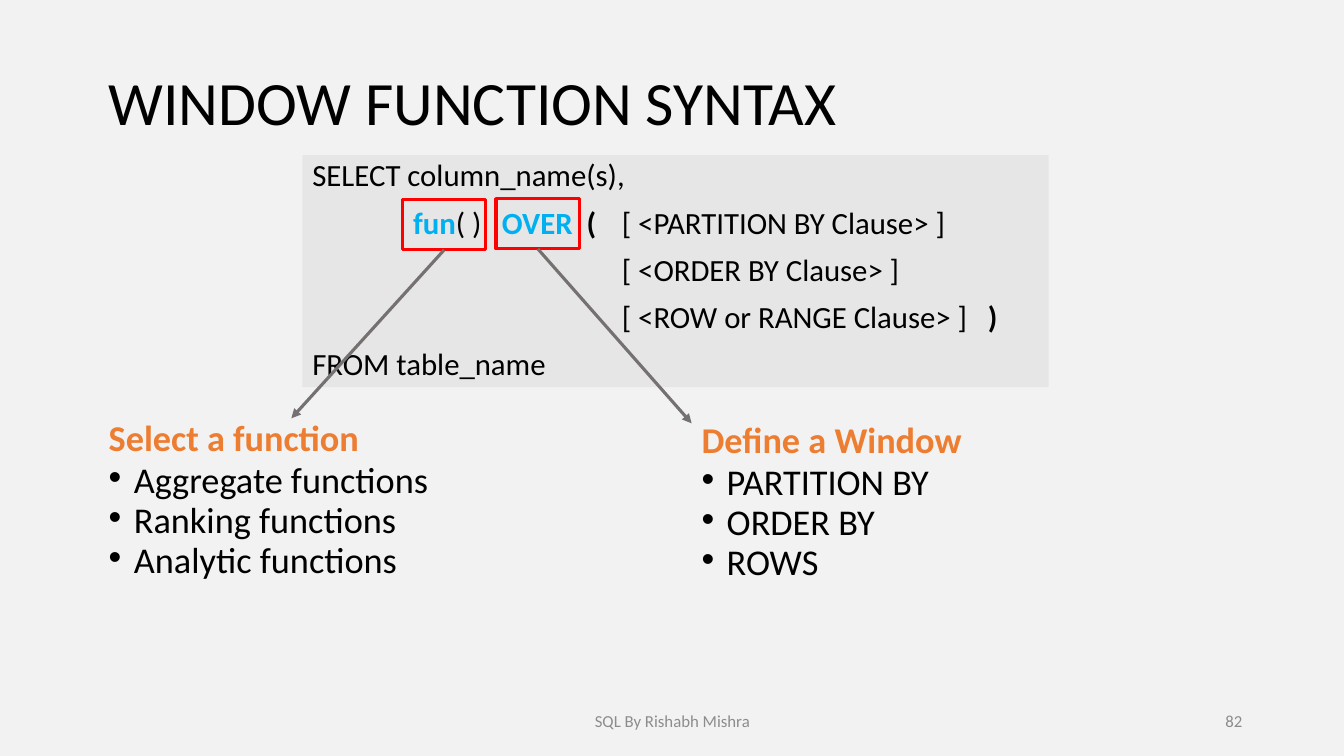
from dataclasses import dataclass

import pptx
import pptx.dml.color
import pptx.enum.shapes
import pptx.enum.text
import pptx.oxml
import pptx.oxml.ns
import pptx.util
from pptx.util import Inches

ALIGN = pptx.enum.text.PP_ALIGN
ANCHOR = pptx.enum.text.MSO_ANCHOR
RECTANGLE = pptx.enum.shapes.MSO_SHAPE.RECTANGLE


@dataclass(frozen=True)
class Theme:
    font: str = "Calibri"
    background: str = "F2F2F2"
    panel: str = "E7E6E6"
    text: str = "000000"
    keyword: str = "00B0F0"
    heading: str = "ED7D31"
    highlight: str = "FF0000"
    arrow: str = "767171"
    footer: str = "8C8C8C"
    title_size: float = 44
    code_size: float = 22
    list_size: float = 25.9
    footer_size: float = 12
    line_width: float = 2.25
    paragraph_gap: float = 10


THEME = Theme()

# Each line: tab stops in inches from the text edge, then (text, bold, colour) runs.
CODE = [
    ([], [("SELECT column_name(s),", False, THEME.text)]),
    ([1, 1.88, 2.72, 3.07], [
        ("\tfun", True, THEME.keyword),
        ("( )", False, THEME.text),
        ("\tOVER", True, THEME.keyword),
        ("\t(", True, THEME.text),
        ("\t[ <PARTITION BY Clause> ]", False, THEME.text),
    ]),
    ([3.07], [("\t[ <ORDER BY Clause> ]", False, THEME.text)]),
    ([3.07, 6.7], [
        ("\t[ <ROW or RANGE Clause> ]", False, THEME.text),
        ("\t)", True, THEME.text),
    ]),
    ([], [("FROM table_name", False, THEME.text)]),
]


def rgb(value):
    return pptx.dml.color.RGBColor.from_string(value)


def style(font, size, color, bold=False):
    font.name = THEME.font
    font.size = pptx.util.Pt(size)
    font.bold = bold
    font.color.rgb = rgb(color)


def add_property(paragraph, xml):
    """Append one drawing element to the paragraph's properties."""
    head, rest = xml.split(" ", 1)
    element = pptx.oxml.parse_xml(f"{head} {pptx.oxml.ns.nsdecls('a')} {rest}")
    paragraph._p.get_or_add_pPr().append(element)


def space(paragraph, line_spacing, first):
    paragraph.line_spacing = line_spacing
    paragraph.space_before = pptx.util.Pt(0 if first else THEME.paragraph_gap)


def add_label(slide, box, text, size, color, align=ALIGN.LEFT, line_spacing=1.0):
    frame = slide.shapes.add_textbox(*map(Inches, box)).text_frame
    frame.word_wrap = True
    frame.vertical_anchor = ANCHOR.MIDDLE
    frame.text = text
    paragraph = frame.paragraphs[0]
    paragraph.alignment = align
    paragraph.line_spacing = line_spacing
    style(paragraph.runs[0].font, size, color)


def add_code_panel(slide, box):
    panel = slide.shapes.add_shape(RECTANGLE, *map(Inches, box))
    panel.shadow.inherit = False
    panel.fill.solid()
    panel.fill.fore_color.rgb = rgb(THEME.panel)
    panel.line.fill.background()
    frame = panel.text_frame
    frame.word_wrap = True
    frame.vertical_anchor = ANCHOR.TOP
    for index, (stops, pieces) in enumerate(CODE):
        line = frame.add_paragraph() if index else frame.paragraphs[0]
        line.alignment = ALIGN.LEFT
        if stops:
            tabs = "".join(f'<a:tab pos="{Inches(stop)}" algn="l"/>' for stop in stops)
            add_property(line, f"<a:tabLst >{tabs}</a:tabLst>")
        space(line, 0.9, first=index == 0)
        for text, bold, color in pieces:
            piece = line.add_run()
            piece.text = text
            style(piece.font, THEME.code_size, color, bold)


def add_option_list(slide, box, heading, options):
    frame = slide.shapes.add_textbox(*map(Inches, box)).text_frame
    frame.word_wrap = True
    frame.text = "\n".join([heading, *options])
    heading_line, *option_lines = frame.paragraphs
    space(heading_line, 0.8, first=True)
    style(heading_line.runs[0].font, THEME.list_size, THEME.heading, bold=True)
    for option in option_lines:
        properties = option._p.get_or_add_pPr()
        properties.set("marL", str(Inches(0.25)))
        properties.set("indent", str(Inches(-0.25)))
        add_property(option, '<a:buFont typeface="Arial"/>')
        add_property(option, '<a:buChar char="•"/>')
        space(option, 0.6, first=False)
        style(option.runs[0].font, THEME.list_size, THEME.text)


def add_callout(slide, box, target):
    """Frame a keyword and point an arrow from its frame to the target."""
    marker = slide.shapes.add_shape(RECTANGLE, *map(Inches, box))
    marker.shadow.inherit = False
    marker.fill.background()
    marker.line.color.rgb = rgb(THEME.highlight)
    marker.line.width = pptx.util.Pt(THEME.line_width)

    left, top, width, height = box
    ends = (left + width / 2, top + height, *target)
    arrow = slide.shapes.add_connector(
        pptx.enum.shapes.MSO_CONNECTOR.STRAIGHT, *map(Inches, ends))
    arrow.begin_connect(marker, 2)
    arrow.line.color.rgb = rgb(THEME.arrow)
    arrow.line.width = pptx.util.Pt(THEME.line_width)
    namespace = pptx.oxml.ns.nsdecls("a")
    arrow.line._get_or_add_ln().append(
        pptx.oxml.parse_xml(f'<a:tailEnd {namespace} type="triangle"/>'))
    arrow._element.spPr.append(pptx.oxml.parse_xml(f"<a:effectLst {namespace}/>"))


def add_footer(slide, box):
    left, top, width, height = box
    add_label(slide, (left, top, 4.5, height), "SQL By Rishabh Mishra",
              THEME.footer_size, THEME.footer, ALIGN.CENTER)
    add_label(slide, (left + width - 3, top, 3, height), "82",
              THEME.footer_size, THEME.footer, ALIGN.RIGHT)


def build_syntax_slide(presentation):
    slide = presentation.slides.add_slide(presentation.slide_layouts[6])
    slide.background.fill.solid()
    slide.background.fill.fore_color.rgb = rgb(THEME.background)
    add_label(slide, (0.98, 0.34, 11.44, 1.42), "WINDOW FUNCTION SYNTAX",
              THEME.title_size, THEME.text, line_spacing=0.9)
    add_code_panel(slide, (3, 1.54, 7.4, 2.3))
    add_option_list(slide, (0.98, 4.15, 3.83, 1.69), "Select a function",
                    ["Aggregate functions", "Ranking functions", "Analytic functions"])
    add_option_list(slide, (6.86, 4.17, 3.83, 1.69), "Define a Window",
                    ["PARTITION BY", "ORDER BY", "ROWS"])
    add_callout(slide, (3.99, 1.98, 0.83, 0.5), target=(2.89, 4.15))
    add_callout(slide, (4.92, 1.97, 0.83, 0.5), target=(6.86, 4.2))
    add_footer(slide, (4.42, 6.95, 8, 0.4))


def main():
    presentation = pptx.Presentation()
    presentation.slide_width = Inches(13.33)
    presentation.slide_height = Inches(7.5)
    build_syntax_slide(presentation)
    presentation.save("out.pptx")


if __name__ == "__main__":
    main()
